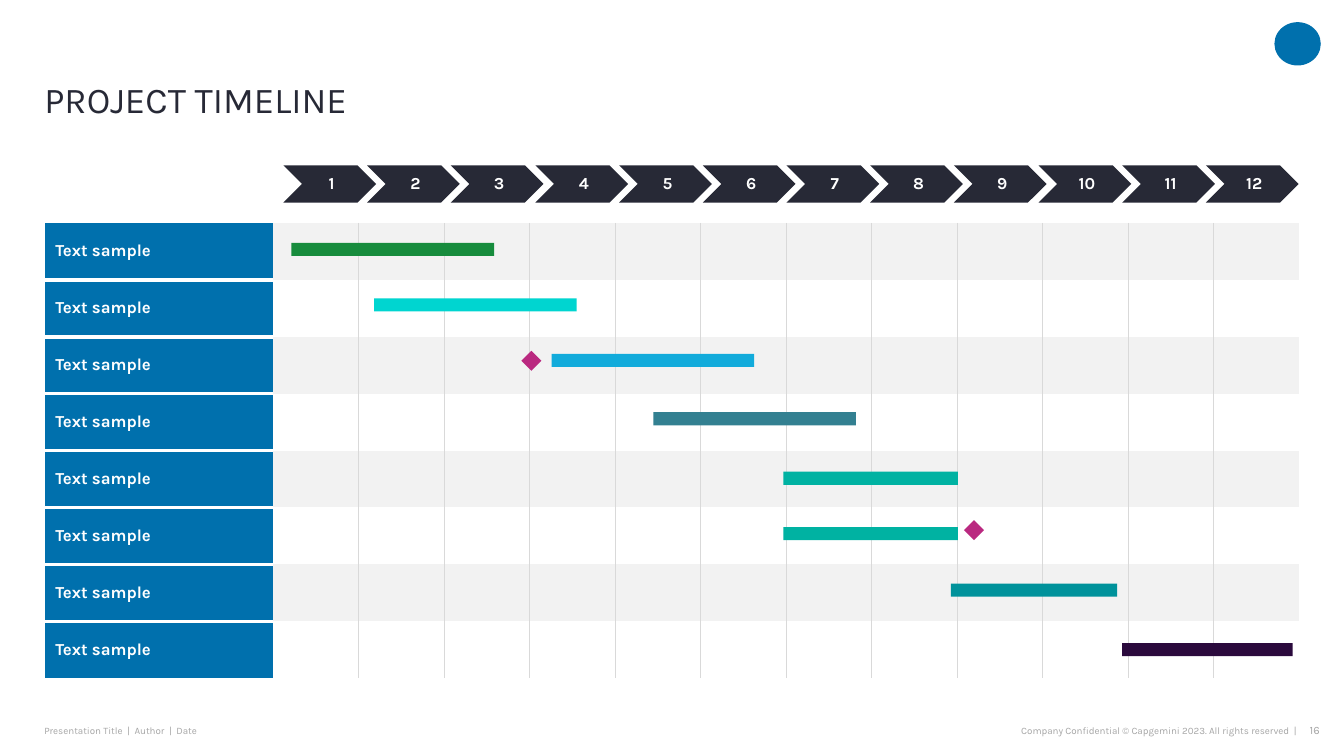
from dataclasses import dataclass

from lxml.etree import SubElement
from pptx import Presentation
from pptx.dml.color import RGBColor
from pptx.enum.shapes import MSO_SHAPE as Preset
from pptx.enum.text import MSO_ANCHOR as Anchor, PP_ALIGN as Align
from pptx.oxml.ns import qn
from pptx.util import Pt

PX = 9144  # 100 px to the inch


@dataclass(frozen=True)
class Theme:
    font: str = "Karla"
    ink: str = "272936"
    blue: str = "0070AD"
    sky: str = "12ABDB"
    green: str = "178C3D"
    turquoise: str = "00D5D0"
    slate: str = "338091"
    teal: str = "00B2A2"
    deep_teal: str = "00929B"
    violet: str = "2B0A3D"
    magenta: str = "BA2980"
    white: str = "FFFFFF"
    band: str = "F2F2F2"
    grid: str = "D9D9D9"
    muted: str = "A6A6A6"
    title_size: int = 26
    label_size: int = 12
    page_size: int = 8
    footer_size: int = 7


theme = Theme()


def add_block(preset, left, top, width, height, color):
    shape = slide.shapes.add_shape(preset, left * PX, top * PX, width * PX, height * PX)
    shape.shadow.inherit = False
    shape.fill.solid()
    shape.fill.fore_color.rgb = RGBColor.from_string(color)
    shape.line.fill.background()
    return shape


def write_text(frame, text, size, color, bold=False, align=Align.LEFT, spacing=1.0,
               anchor=Anchor.MIDDLE, insets=(0, 0, 0, 0)):
    """Fill a text frame with one run; insets are left, top, right, bottom in px."""
    frame.word_wrap = True
    frame.vertical_anchor = anchor
    frame.margin_left, frame.margin_top, frame.margin_right, frame.margin_bottom = (
        inset * PX for inset in insets)
    paragraph = frame.paragraphs[0]
    paragraph.alignment = align
    paragraph.line_spacing = spacing
    run = paragraph.add_run()
    run.text = text
    run.font.name = theme.font
    run.font.size = Pt(size)
    run.font.bold = bold
    run.font.color.rgb = RGBColor.from_string(color)


presentation = Presentation()
presentation.slide_width, presentation.slide_height = 1333 * PX, 750 * PX
slide = presentation.slides.add_slide(presentation.slide_layouts[6])

# Corner emblem, footer and title
add_block(Preset.OVAL, 1264, 22, 46, 43, theme.blue)

text_boxes = [
    ((44, 713, 373, 24), "Presentation Title  |  Author  |  Date",
     dict(size=theme.footer_size, color=theme.muted)),
    ((790, 713, 496, 24), "Company Confidential © Capgemini 2023. All rights reserved  |",
     dict(size=theme.footer_size, color=theme.muted, align=Align.RIGHT)),
    ((1284, 713, 25, 24), "16",
     dict(size=theme.page_size, color=theme.muted, align=Align.RIGHT,
          anchor=Anchor.TOP, insets=(0, 5, 0, 5))),
    ((44, 42, 1197, 78), "PROJECT TIMELINE",
     dict(size=theme.title_size, color=theme.ink, spacing=0.9, anchor=Anchor.BOTTOM)),
]
for box, text, style in text_boxes:
    text_box = slide.shapes.add_textbox(*(length * PX for length in box))
    write_text(text_box.text_frame, text, **style)

# Month chevrons
MONTHS = 12
FIRST_CHEVRON, LAST_CHEVRON = 281, 1196
for month in range(MONTHS):
    left = FIRST_CHEVRON + round(month * (LAST_CHEVRON - FIRST_CHEVRON) / (MONTHS - 1))
    chevron = add_block(Preset.CHEVRON, left, 164, 92, 37, theme.ink)
    write_text(chevron.text_frame, str(month + 1), theme.label_size, theme.white, bold=True,
               align=Align.CENTER, spacing=0.9, insets=(5, 2, 1, 2))

# Task grid
TASKS = 8
TABLE_WIDTH, TABLE_HEIGHT, LABEL_WIDTH = 1244, 452, 226
NO_STYLE_NO_GRID = "{2D5ABB26-0587-4C30-8999-92F81FD0307C}"
table_frame = slide.shapes.add_table(
    TASKS, MONTHS + 1, 45 * PX, 221 * PX, TABLE_WIDTH * PX, TABLE_HEIGHT * PX)
table = table_frame.table
table.first_row = table.horz_banding = False
next(table_frame.element.iter(qn("a:tableStyleId"))).text = NO_STYLE_NO_GRID

table.columns[0].width = LABEL_WIDTH * PX
for month in range(1, MONTHS + 1):
    table.columns[month].width = (TABLE_WIDTH - LABEL_WIDTH) * PX // MONTHS

for task in range(TASKS):
    table.rows[task].height = TABLE_HEIGHT * PX // TASKS
    for column in range(MONTHS + 1):
        cell = table.cell(task, column)
        if column == 0:
            write_text(cell.text_frame, "Text sample", theme.label_size, theme.white, bold=True)
            cell.vertical_anchor = Anchor.MIDDLE
            cell.margin_left = cell.margin_right = 10 * PX
            cell.margin_top = cell.margin_bottom = 5 * PX
            fill_color, line_color, line_width = theme.blue, theme.white, 3
            sides = [("lnT", task > 0), ("lnB", task < TASKS - 1)]
        else:
            fill_color = theme.white if task % 2 else theme.band
            line_color, line_width = theme.grid, 1
            sides = [("lnL", column > 1), ("lnR", column < MONTHS)]
        properties = cell._tc.get_or_add_tcPr()
        for side, visible in sides:
            if visible:
                line = SubElement(properties, qn(f"a:{side}"), w=str(Pt(line_width)))
                line_fill = SubElement(line, qn("a:solidFill"))
                SubElement(line_fill, qn("a:srgbClr"), val=line_color)
        cell.fill.solid()
        cell.fill.fore_color.rgb = RGBColor.from_string(fill_color)

# Task bars: left, top, width, color
task_bars = [
    (289, 241, 201, theme.green),
    (371, 296, 201, theme.turquoise),
    (547, 351, 201, theme.sky),
    (648, 409, 201, theme.slate),
    (777, 468, 173, theme.teal),
    (777, 523, 173, theme.teal),
    (943, 579, 165, theme.deep_teal),
    (1113, 638, 169, theme.violet),
]
for left, top, width, color in task_bars:
    add_block(Preset.RECTANGLE, left, top, width, 13, color)

# Milestones
for left, top in [(520, 351), (959, 519)]:
    milestone = add_block(Preset.RECTANGLE, left, top, 14, 14, theme.magenta)
    milestone.rotation = 45

presentation.save("out.pptx")
